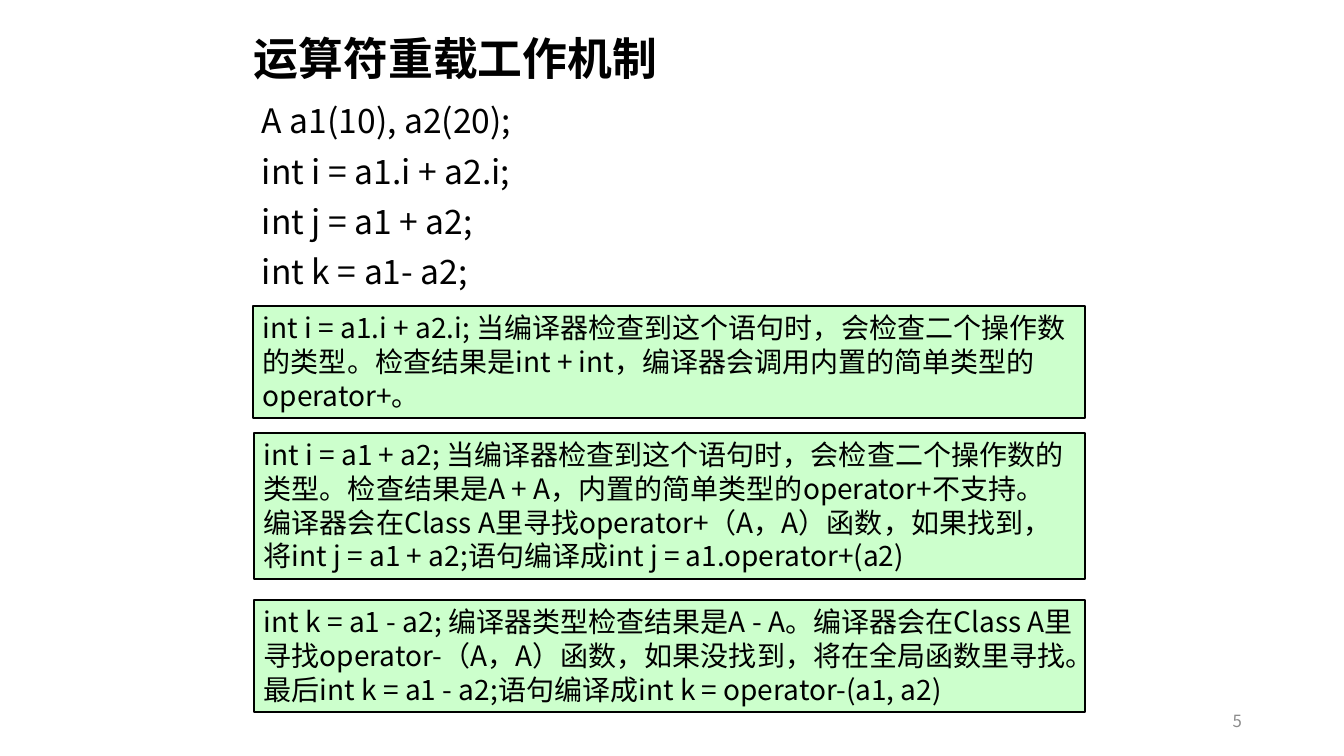
from dataclasses import dataclass

import pptx
import pptx.dml.color
import pptx.enum.shapes
import pptx.enum.text
import pptx.oxml.ns
import pptx.slide
import pptx.text.text
import pptx.util
from lxml import etree

EMU_PER_PX = 914400 / 100.8
Align = pptx.enum.text.PP_ALIGN
Anchor = pptx.enum.text.MSO_ANCHOR
AutoSize = pptx.enum.text.MSO_AUTO_SIZE


@dataclass(frozen=True)
class Theme:
    ink: str = "000000"
    muted: str = "8C8C8C"
    panel: str = "CCFFCC"
    font: str = "Noto Sans CJK JP"
    number_font: str = "Noto Sans CJK SC"
    title_size: int = 32
    code_size: int = 24
    note_size: int = 20
    number_size: int = 12


THEME = Theme()


@dataclass(frozen=True)
class TextStyle:
    size: int
    color: str = THEME.ink
    font: str = THEME.font
    bold: bool = False
    align: Align = Align.LEFT
    anchor: Anchor = Anchor.TOP
    line_spacing: float = 1.0
    space_before: int = 0


@dataclass(frozen=True)
class Box:
    left: int
    top: int
    width: int
    height: int
    paragraphs: tuple[str, ...]
    style: TextStyle
    wrap: bool = True


TITLE = TextStyle(THEME.title_size, bold=True, anchor=Anchor.MIDDLE, line_spacing=0.9)
CODE = TextStyle(THEME.code_size, line_spacing=0.9, space_before=10)
NOTE = TextStyle(THEME.note_size)
NUMBER = TextStyle(THEME.number_size, THEME.muted, THEME.number_font,
                   align=Align.RIGHT, anchor=Anchor.MIDDLE)

PLAIN_TEXTS = (
    Box(950, 701, 302, 40, ("5",), NUMBER),
    Box(244, 28, 857, 65, ("运算符重载工作机制",), TITLE),
    Box(252, 100, 857, 199, (
        "A a1(10), a2(20);",
        "int i = a1.i + a2.i;",
        "int j = a1 + a2;",
        "int k = a1- a2;",
    ), CODE),
)

NOTES = (
    Box(253, 306, 832, 112, (
        "int i = a1.i + a2.i; 当编译器检查到这个语句时，会检查二个操作数",
        "的类型。检查结果是int + int，编译器会调用内置的简单类型的",
        "operator+。",
    ), NOTE, wrap=False),
    Box(254, 433, 831, 146, (
        "int i = a1 + a2; 当编译器检查到这个语句时，会检查二个操作数的类型。"
        "检查结果是A + A，内置的简单类型的operator+不支持。",
        "编译器会在Class A里寻找operator+（A，A）函数，如果找到，"
        "将int j = a1 + a2;语句编译成int j = a1.operator+(a2)",
    ), NOTE),
    Box(254, 600, 831, 112, (
        "int k = a1 - a2; 编译器类型检查结果是A - A。"
        "编译器会在Class A里寻找operator-（A，A）函数，如果没找到，将在全局函数里寻找。"
        "最后int k = a1 - a2;语句编译成int k = operator-(a1, a2)",
    ), NOTE),
)


def px(length: int) -> pptx.util.Emu:
    return pptx.util.Emu(round(length * EMU_PER_PX))


def rgb(color: str) -> pptx.dml.color.RGBColor:
    return pptx.dml.color.RGBColor.from_string(color)


def bounds(box: Box) -> tuple[pptx.util.Emu, ...]:
    return tuple(px(length) for length in (box.left, box.top, box.width, box.height))


def set_font(font: pptx.text.text.Font, style: TextStyle) -> None:
    font.size = pptx.util.Pt(style.size)
    font.bold = style.bold
    font.color.rgb = rgb(style.color)
    font.name = style.font


def write_text(frame: pptx.text.text.TextFrame, box: Box) -> None:
    style = box.style
    frame.word_wrap = box.wrap
    frame.vertical_anchor = style.anchor
    frame.text = "\n".join(box.paragraphs)
    for paragraph in frame.paragraphs:
        paragraph.alignment = style.align
        paragraph.line_spacing = style.line_spacing
        paragraph.space_before = pptx.util.Pt(style.space_before)
        set_font(paragraph.font, style)
        properties = paragraph.font._element
        east_asian = etree.SubElement(properties, pptx.oxml.ns.qn("a:ea"))
        east_asian.set("typeface", style.font)


def add_plain_text(slide: pptx.slide.Slide, box: Box) -> None:
    shape = slide.shapes.add_textbox(*bounds(box))
    write_text(shape.text_frame, box)


def add_note(slide: pptx.slide.Slide, box: Box) -> None:
    rectangle = pptx.enum.shapes.MSO_SHAPE.RECTANGLE
    shape = slide.shapes.add_shape(rectangle, *bounds(box))
    shape.shadow.inherit = False
    shape.fill.solid()
    shape.fill.fore_color.rgb = rgb(THEME.panel)
    shape.line.color.rgb = rgb(THEME.ink)
    shape.line.width = pptx.util.Pt(1)
    write_text(shape.text_frame, box)
    shape.text_frame.auto_size = AutoSize.SHAPE_TO_FIT_TEXT


def main() -> None:
    presentation = pptx.Presentation()
    presentation.slide_width = px(1344)
    presentation.slide_height = px(756)
    slide = presentation.slides.add_slide(presentation.slide_layouts[6])
    for box in PLAIN_TEXTS:
        add_plain_text(slide, box)
    for box in NOTES:
        add_note(slide, box)
    presentation.save("out.pptx")


if __name__ == "__main__":
    main()
